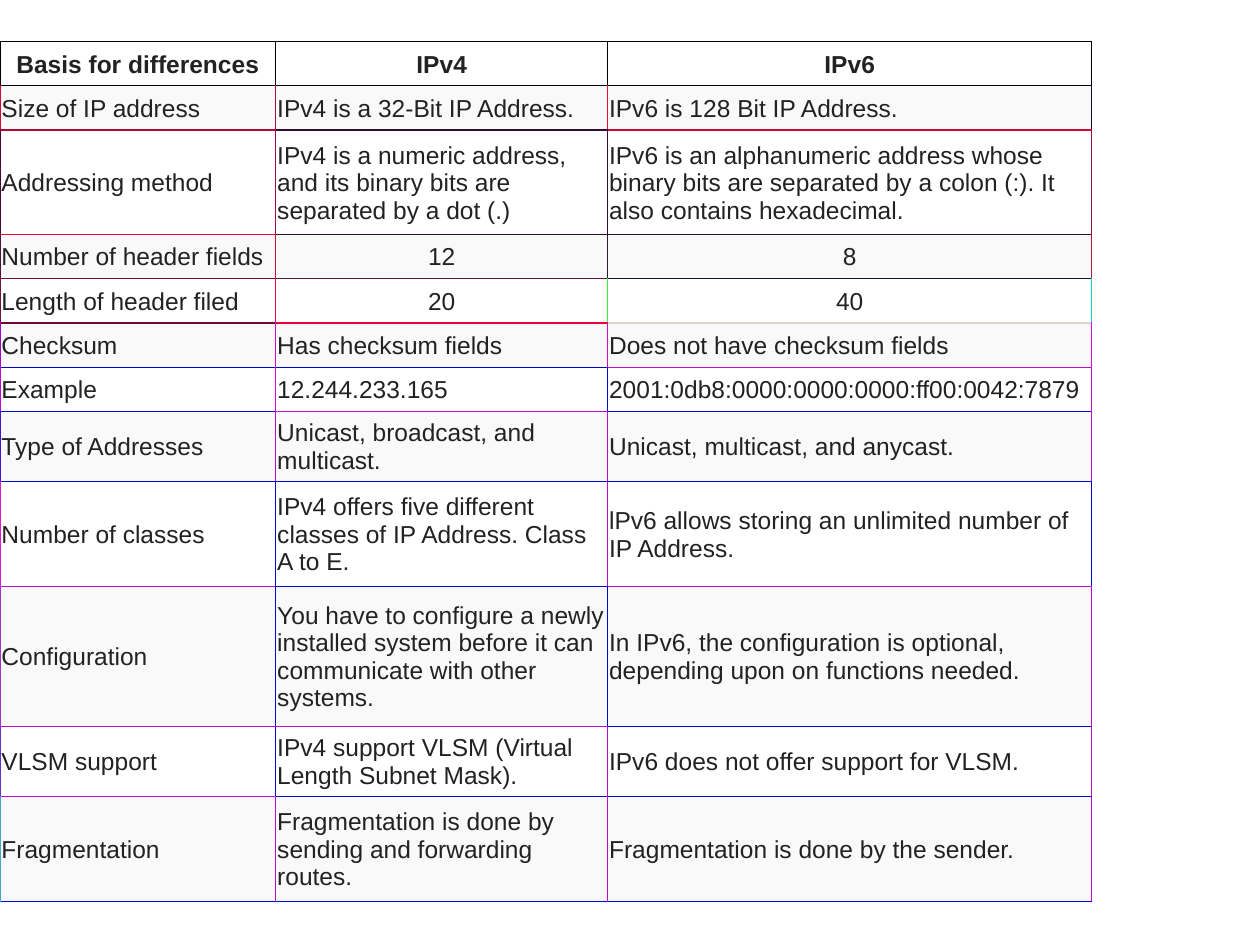
import pptx
import pptx.util
import pptx.dml.color
import pptx.enum.text
import pptx.oxml.ns
from lxml import etree

Cm = pptx.util.Cm
BLACK = "000000"
COL_WIDTHS = (5.56, 6.69, 9.76)
ROW_HEIGHTS = {1: 0.89, 2: 1.42, 3: 2.11, 4: 2.82}  # by number of text lines

# Lines of text, three cell texts, four vertical edges, three bottom edges
ROWS = [
    (1, ("Basis for differences", "IPv4", "IPv6"),
     (BLACK,) * 4, (BLACK,) * 3),
    (1, ("Size of IP address", "IPv4 is a 32-Bit IP Address.", "IPv6 is 128 Bit IP Address."),
     ("D00736", "B00B36", "F00A36", "100C36"), ("B00836", "300C36", "D00836")),
    (3, ("Addressing method",
         "IPv4 is a numeric address, and its binary bits are separated by a dot (.)",
         "IPv6 is an alphanumeric address whose binary bits are separated by a colon (:). "
         "It also contains hexadecimal."),
     ("500536", "B00436", "300E36", "901236"), ("F00436", "300D36", "301236")),
    (1, ("Number of header fields", "12", "8"),
     ("501136", "D00836", "301336", "B01336"), ("700736", "501336", "101736")),
    (1, ("Length of header filed", "20", "40"),
     ("701336", "F00536", "30F835", "00D8CB"), ("700736", "F00036", "E0D7CB")),
    (1, ("Checksum", "Has checksum fields", "Does not have checksum fields"),
     ("A000CC", "E001CC", "E001CC", "E006CC"), ("0002CC", "0002CC", "C009CC")),
    (1, ("Example", "12.244.233.165", "2001:0db8:0000:0000:0000:ff00:0042:7879"),
     ("C009CC", "E007CC", "0008CC", "C007CC"), ("0008CC", "C009CC", "0008CC")),
    (2, ("Type of Addresses", "Unicast, broadcast, and multicast.",
         "Unicast, multicast, and anycast."),
     ("4013CC", "C007CC", "C007CC", "C009CC"), ("0008CC", "0008CC", "0008CC")),
    (3, ("Number of classes",
         "IPv4 offers five different classes of IP Address. Class A to E.",
         "lPv6 allows storing an unlimited number of IP Address."),
     ("E01ACC", "0008CC", "C007CC", "0008CC"), ("C009CC", "0008CC", "C009CC")),
    (4, ("Configuration",
         "You have to configure a newly installed system before it can communicate "
         "with other systems.",
         "In IPv6, the configuration is optional, depending upon on functions needed."),
     ("A032CC", "0008CC", "0008CC", "C009CC"), ("C009CC", "C009CC", "0008CC")),
    (2, ("VLSM support", "IPv4 support VLSM (Virtual Length Subnet Mask).",
         "IPv6 does not offer support for VLSM."),
     ("6033CC", "0008CC", "C007CC", "C009CC"), ("C009CC", "0008CC", "0008CC")),
    (3, ("Fragmentation", "Fragmentation is done by sending and forwarding routes.",
         "Fragmentation is done by the sender."),
     ("40A9CB", "C009CC", "C009CC", "C009CC"), ("0008CC", "0008CC", "0008CC")),
]


def rgb(value):
    return pptx.dml.color.RGBColor.from_string(value)


def write_text(tf, text, size=14, color="222222", bold=False, centered=False):
    align = pptx.enum.text.PP_ALIGN
    p = tf.paragraphs[0]
    p.alignment = align.CENTER if centered else align.LEFT
    r = p.add_run()
    r.text = text
    r.font.name = "Arial"
    r.font.size = pptx.util.Pt(size)
    r.font.bold = bold
    r.font.color.rgb = rgb(color)


def set_borders(cell, left, right, top, bottom):
    """Draw the four cell edges; they must precede the fill in tcPr."""
    qn = pptx.oxml.ns.qn
    tc_pr = cell._tc.get_or_add_tcPr()
    for tag, color in (("a:lnL", left), ("a:lnR", right), ("a:lnT", top), ("a:lnB", bottom)):
        ln = etree.SubElement(tc_pr, qn(tag), w=str(pptx.util.Pt(0.75)))
        fill = etree.SubElement(ln, qn("a:solidFill"))
        etree.SubElement(fill, qn("a:srgbClr"), val=color)


def format_cell(cell, fill):
    cell.margin_left = cell.margin_right = cell.margin_top = Cm(0.03)
    cell.margin_bottom = 0
    cell.vertical_anchor = pptx.enum.text.MSO_ANCHOR.MIDDLE
    cell.fill.solid()
    cell.fill.fore_color.rgb = rgb(fill)


def add_comparison_table(s):
    heights = [ROW_HEIGHTS[lines] for lines, *_ in ROWS]
    table = s.shapes.add_table(len(ROWS), len(COL_WIDTHS), 0, Cm(0.84),
                               Cm(sum(COL_WIDTHS)), Cm(sum(heights))).table
    for column, width in zip(table.columns, COL_WIDTHS):
        column.width = Cm(width)
    tops = (BLACK,) * 3
    for i, (_, texts, sides, bottoms) in enumerate(ROWS):
        table.rows[i].height = Cm(heights[i])
        for j, text in enumerate(texts):
            cell = table.cell(i, j)
            set_borders(cell, sides[j], sides[j + 1], tops[j], bottoms[j])
            format_cell(cell, "F9F9F9" if i % 2 else "FFFFFF")
            write_text(cell.text_frame, text, bold=i == 0,
                       centered=i == 0 or text.isdigit())
        tops = bottoms


def main():
    prs = pptx.Presentation()
    prs.slide_width, prs.slide_height = Cm(25.4), Cm(19.05)
    s = prs.slides.add_slide(prs.slide_layouts[6])
    add_comparison_table(s)
    prs.save("out.pptx")


if __name__ == "__main__":
    main()
